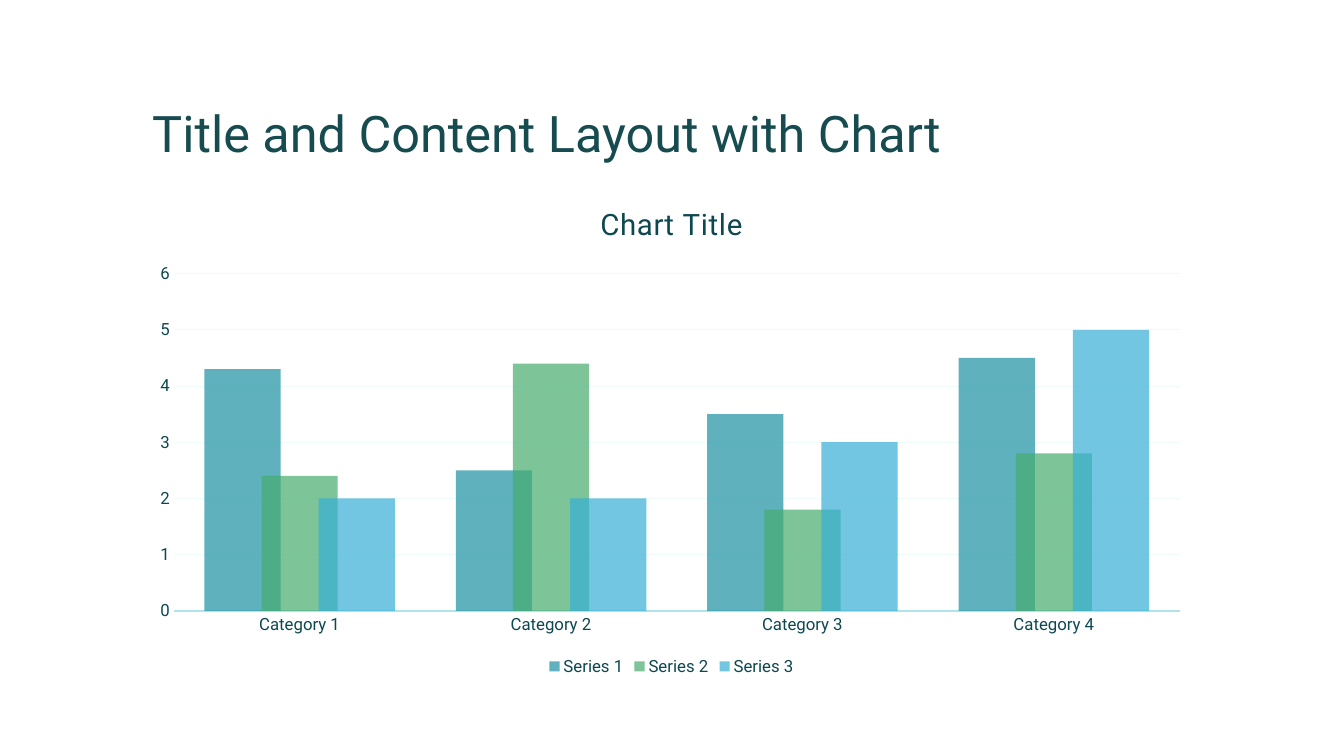
from dataclasses import dataclass

from lxml import etree
from pptx import Presentation
from pptx.chart.chart import Chart
from pptx.chart.data import CategoryChartData
from pptx.chart.series import BarSeries
from pptx.dml.color import RGBColor
from pptx.enum.chart import XL_CHART_TYPE, XL_LEGEND_POSITION, XL_TICK_MARK
from pptx.enum.text import MSO_ANCHOR, MSO_AUTO_SIZE, PP_ALIGN
from pptx.oxml import parse_xml
from pptx.oxml.ns import nsdecls, qn
from pptx.slide import Slide
from pptx.text.text import Font
from pptx.util import Inches, Pt

COLUMNS = XL_CHART_TYPE.COLUMN_CLUSTERED
BOTTOM = XL_LEGEND_POSITION.BOTTOM
NO_TICK = XL_TICK_MARK.NONE
LOW = MSO_ANCHOR.BOTTOM
NO_FIT = MSO_AUTO_SIZE.NONE
LEFT = PP_ALIGN.LEFT


@dataclass(frozen=True)
class Theme:
    font: str = "Roboto"
    head: str = "164B4F"
    label: str = "0D4850"
    axis: str = "AFE5E9"
    grid: str = "EFFAFB"
    head_size: float = 36
    chart_size: float = 21
    label_size: float = 12
    alpha: int = 70


@dataclass(frozen=True)
class Group:
    name: str
    color: str
    values: tuple[float, ...]


@dataclass(frozen=True)
class Box:
    left: float
    top: float
    width: float
    height: float


THEME = Theme()
HEAD_BOX = Box(1.41, 0.42, 10.5, 1.25)
CHART_BOX = Box(1.41, 1.83, 10.5, 4.92)
PLOT_PART = {"x": 0.03, "y": 0.18, "w": 0.95, "h": 0.68}
LABELS = [f"Category {n}" for n in range(1, 5)]
GROUPS = [
    Group("Series 1", "1B91A1", (4.3, 2.5, 3.5, 4.5)),
    Group("Series 2", "46AC6F", (2.4, 4.4, 1.8, 2.8)),
    Group("Series 3", "37AFD5", (2, 2, 3, 5)),
]


def style(font: Font, size: float, color: str) -> None:
    font.name = THEME.font
    font.size = Pt(size)
    font.bold = False
    font.color.rgb = RGBColor.from_string(color)


def add_head(slide: Slide, text: str, box: Box) -> None:
    head = slide.shapes.title
    head.left, head.top = Inches(box.left), Inches(box.top)
    head.width, head.height = Inches(box.width), Inches(box.height)
    frame = head.text_frame
    frame.text = text
    frame.auto_size = NO_FIT
    frame.vertical_anchor = LOW
    line = frame.paragraphs[0]
    line.alignment = LEFT
    line.line_spacing = 0.9
    style(line.runs[0].font, THEME.head_size, THEME.head)


def place_plot(chart: Chart) -> None:
    """Fix the inner plot area as parts of the chart frame."""
    area = chart.element.find(".//" + qn("c:plotArea"))
    old = area.find(qn("c:layout"))
    if old is not None:
        area.remove(old)
    parts = "".join(f'<c:{key} val="{part}"/>' for key, part in PLOT_PART.items())
    area.insert(0, parse_xml(
        f'<c:layout {nsdecls("c")}><c:manualLayout>'
        '<c:layoutTarget val="inner"/><c:xMode val="edge"/><c:yMode val="edge"/>'
        f"{parts}</c:manualLayout></c:layout>"))


def style_axes(chart: Chart) -> None:
    for axis in (chart.category_axis, chart.value_axis):
        axis.major_tick_mark = axis.minor_tick_mark = NO_TICK
        style(axis.tick_labels.font, THEME.label_size, THEME.label)
    base = chart.category_axis.format.line
    base.color.rgb = RGBColor.from_string(THEME.axis)
    base.width = Pt(1.25)
    scale = chart.value_axis
    scale.minimum_scale, scale.maximum_scale, scale.major_unit = 0, 6, 1
    scale.format.line.fill.background()
    grid = scale.major_gridlines.format.line
    grid.color.rgb = RGBColor.from_string(THEME.grid)
    grid.width = Pt(0.75)


def paint(bars: BarSeries, color: str) -> None:
    """Fill the bars with a see-through colour."""
    fill = bars.format.fill
    fill.solid()
    fill.fore_color.rgb = RGBColor.from_string(color)
    tint = bars.format.fill.fore_color and bars._element.find(".//" + qn("a:srgbClr"))
    etree.SubElement(tint, qn("a:alpha"), val=str(THEME.alpha * 1000))


def add_bars(slide: Slide, title: str, box: Box) -> None:
    data = CategoryChartData()
    data.categories = LABELS
    for group in GROUPS:
        data.add_series(group.name, group.values)
    chart = slide.shapes.add_chart(
        COLUMNS, Inches(box.left), Inches(box.top),
        Inches(box.width), Inches(box.height), data).chart
    style(chart.font, 10, THEME.head)

    chart.has_title = True
    chart.chart_title.include_in_layout = False
    line = chart.chart_title.text_frame.paragraphs[0]
    line.text = title
    font = line.runs[0].font
    style(font, THEME.chart_size, THEME.label)
    line.runs[0]._r.get_or_add_rPr().set("spc", "50")

    chart.has_legend = True
    chart.legend.position = BOTTOM
    chart.legend.include_in_layout = False
    style(chart.legend.font, THEME.label_size, THEME.label)

    style_axes(chart)
    place_plot(chart)
    plot = chart.plots[0]
    plot.gap_width, plot.overlap = 80, 25
    plot.vary_by_categories = False
    for bars, group in zip(plot.series, GROUPS):
        paint(bars, group.color)


def main() -> None:
    deck = Presentation()
    deck.slide_width, deck.slide_height = Inches(13.33), Inches(7.5)
    slide = deck.slides.add_slide(deck.slide_layouts[5])
    add_head(slide, "Title and Content Layout with Chart", HEAD_BOX)
    add_bars(slide, "Chart Title", CHART_BOX)
    deck.save("out.pptx")


if __name__ == "__main__":
    main()
